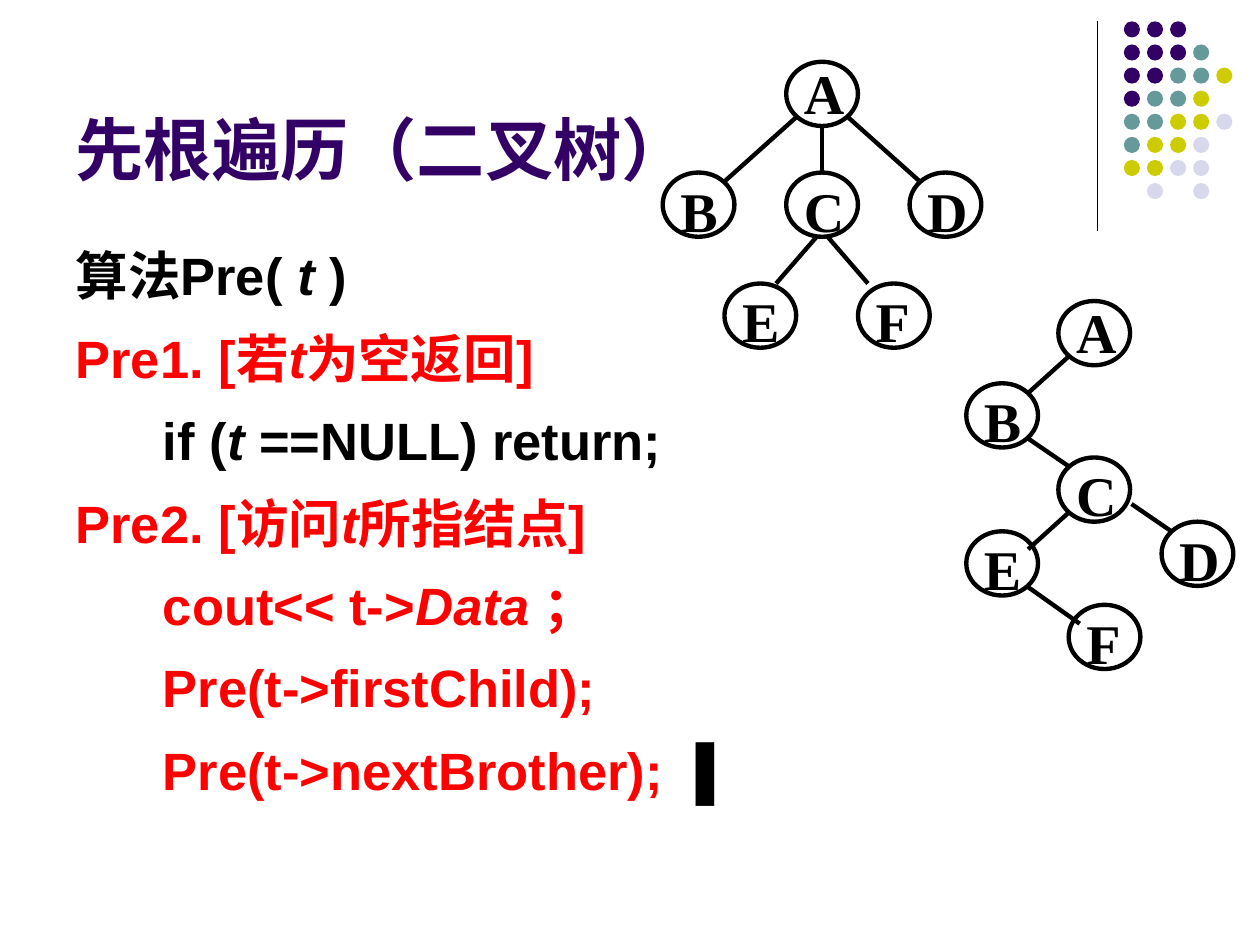
from dataclasses import dataclass

from lxml import etree
from pptx import Presentation
from pptx.dml.color import RGBColor
from pptx.enum.shapes import MSO_CONNECTOR, MSO_SHAPE
from pptx.enum.text import MSO_ANCHOR, MSO_AUTO_SIZE, PP_ALIGN
from pptx.oxml.ns import qn
from pptx.util import Pt

OVAL = MSO_SHAPE.OVAL
STRAIGHT = MSO_CONNECTOR.STRAIGHT
LEFT, JUSTIFY = PP_ALIGN.LEFT, PP_ALIGN.JUSTIFY
TOP, BOTTOM = MSO_ANCHOR.TOP, MSO_ANCHOR.BOTTOM
NO_AUTOFIT = MSO_AUTO_SIZE.NONE

BLACK = RGBColor(0x00, 0x00, 0x00)
RED = RGBColor(0xFF, 0x00, 0x00)
PURPLE = RGBColor(0x33, 0x00, 0x66)
TEAL = RGBColor(0x66, 0x99, 0x99)
OLIVE = RGBColor(0xCC, 0xCC, 0x00)
LAVENDER = RGBColor(0xD8, 0xD8, 0xEC)

DOT_COLORS = {"P": PURPLE, "T": TEAL, "O": OLIVE, "L": LAVENDER}
DOT_ROWS = ["PPP", "PPPT", "PPTTO", "PTTO", "TTOOL", "TOOL", "OOLL", " L L"]
DOT_LEFT, DOT_TOP, DOT_PITCH, DOT_SIZE = 642.2, 12.2, 13.2, 9.2
NODE_WIDTH, NODE_HEIGHT = 41, 36.7
LABEL_SHIFT_X, LABEL_SHIFT_Y = 3, -5.4


@dataclass(frozen=True)
class Node:
    label: str
    left: float
    top: float
    line_spacing: float = 1.1


@dataclass(frozen=True)
class Edge:
    start_x: float
    start_y: float
    end_x: float
    end_y: float


@dataclass(frozen=True)
class Tree:
    nodes: list[Node]
    edges: list[Edge]


@dataclass(frozen=True)
class Run:
    text: str
    color: RGBColor = RED
    italic: bool = False


GENERAL_TREE = Tree(
    [Node("A", 449.3, 35.3, 1.0), Node("C", 449.3, 98.6), Node("B", 378.7, 98.6),
     Node("F", 490.3, 162), Node("D", 519.8, 98.6), Node("E", 414, 162)],
    [Edge(469.6, 72, 469.6, 98.6), Edge(455, 67, 414, 103.7),
     Edge(484.6, 67, 525.6, 103.7), Edge(466.6, 135.4, 443.5, 162),
     Edge(473, 135.4, 496, 162)],
)
BINARY_TREE = Tree(
    [Node("A", 604.8, 172, 1.0), Node("C", 604.8, 261.4), Node("B", 552.2, 219),
     Node("F", 610.7, 345.6), Node("D", 663.8, 298.1), Node("E", 552.2, 303.6)],
    [Edge(610.6, 203.8, 587.5, 224.6), Edge(587.5, 250.6, 610.6, 266.4),
     Edge(610.6, 293, 587.5, 313.9), Edge(587.5, 335.5, 617, 356.4),
     Edge(646.6, 288, 669.6, 303.8)],
)
ALGORITHM = [
    [Run("算法Pre( ", BLACK), Run("t ", BLACK, True), Run(")", BLACK)],
    [Run("Pre1. [若"), Run("t", italic=True), Run("为空返回]")],
    [Run("      if (", BLACK), Run("t", BLACK, True), Run(" ==NULL) return;", BLACK)],
    [Run("Pre2. [访问"), Run("t", italic=True), Run("所指结点]")],
    [Run("      cout<< t->"), Run("Data ", italic=True), Run("；")],
    [Run("      Pre(t->firstChild);")],
    [Run("      Pre(t->nextBrother);"), Run(" ▐", BLACK)],
]


def add_text(paragraph, text: str, *, size: float, color: RGBColor,
             font_name: str = "Arial", italic: bool = False) -> None:
    run = paragraph.add_run()
    run.text = text
    run.font.name = font_name
    run.font.size = Pt(size)
    run.font.bold = True
    run.font.italic = italic
    run.font.color.rgb = color


def place(shape, left: float, top: float, width: float, height: float, anchor):
    shape.left, shape.top = Pt(left), Pt(top)
    shape.width, shape.height = Pt(width), Pt(height)
    frame = shape.text_frame
    frame.auto_size = NO_AUTOFIT
    frame.word_wrap = True
    frame.vertical_anchor = anchor
    return frame


def add_line(shapes, edge: Edge, width: float) -> None:
    connector = shapes.add_connector(
        STRAIGHT, Pt(edge.start_x), Pt(edge.start_y), Pt(edge.end_x), Pt(edge.end_y))
    connector.line.color.rgb = BLACK
    connector.line.width = Pt(width)
    etree.SubElement(connector._element.spPr, qn("a:effectLst"))


def add_oval(shapes, left: float, top: float, width: float, height: float):
    oval = shapes.add_shape(OVAL, Pt(left), Pt(top), Pt(width), Pt(height))
    oval.shadow.inherit = False
    return oval


def add_dots(slide) -> None:
    shapes = slide.shapes.add_group_shape().shapes
    for row, pattern in enumerate(DOT_ROWS):
        for column, key in enumerate(pattern):
            if key in DOT_COLORS:
                dot = add_oval(shapes, DOT_LEFT + column * DOT_PITCH,
                               DOT_TOP + row * DOT_PITCH, DOT_SIZE, DOT_SIZE)
                dot.fill.solid()
                dot.fill.fore_color.rgb = DOT_COLORS[key]
                dot.line.fill.background()


def add_node(shapes, node: Node) -> None:
    oval = add_oval(shapes, node.left, node.top, NODE_WIDTH, NODE_HEIGHT)
    oval.fill.background()
    oval.line.color.rgb = BLACK
    oval.line.width = Pt(2.5)
    label = shapes.add_textbox(0, 0, 0, 0)
    frame = place(label, node.left + LABEL_SHIFT_X, node.top + LABEL_SHIFT_Y,
                  NODE_WIDTH, 46 if node.line_spacing == 1 else 49.7, TOP)
    paragraph = frame.paragraphs[0]
    paragraph.line_spacing = node.line_spacing
    add_text(paragraph, node.label, size=32, color=BLACK, font_name="Times New Roman")


def add_tree(slide, tree: Tree) -> None:
    shapes = slide.shapes.add_group_shape().shapes
    for node in tree.nodes:
        add_node(shapes, node)
    for edge in tree.edges:
        add_line(shapes, edge, 2.5)


def fill_title(title) -> None:
    frame = place(title, 36, 9.4, 594, 102.2, BOTTOM)
    paragraph = frame.paragraphs[0]
    paragraph.alignment = LEFT
    add_text(paragraph, "先根遍历（二叉树）", size=39, color=PURPLE)


def fill_algorithm(body) -> None:
    frame = place(body, 36, 135.4, 648, 347, TOP)
    for index, runs in enumerate(ALGORITHM):
        paragraph = frame.add_paragraph() if index else frame.paragraphs[0]
        paragraph.alignment = JUSTIFY
        paragraph.line_spacing = 1.1 if index else 1.0
        paragraph.space_before = Pt(7.5 if index else 0)
        properties = paragraph._p.get_or_add_pPr()
        properties.set("marL", str(Pt(27)))
        properties.set("indent", str(Pt(-27)))
        etree.SubElement(properties, qn("a:buNone"))
        for run in runs:
            add_text(paragraph, run.text, size=30, color=run.color, italic=run.italic)


def main() -> None:
    presentation = Presentation()
    presentation.slide_width, presentation.slide_height = Pt(720), Pt(540)
    slide = presentation.slides.add_slide(presentation.slide_layouts[1])
    add_line(slide.shapes, Edge(627, 12, 627, 132), 0.75)
    add_dots(slide)
    fill_title(slide.shapes.title)
    fill_algorithm(slide.placeholders[1])
    add_tree(slide, GENERAL_TREE)
    add_tree(slide, BINARY_TREE)
    presentation.save("out.pptx")


if __name__ == "__main__":
    main()
